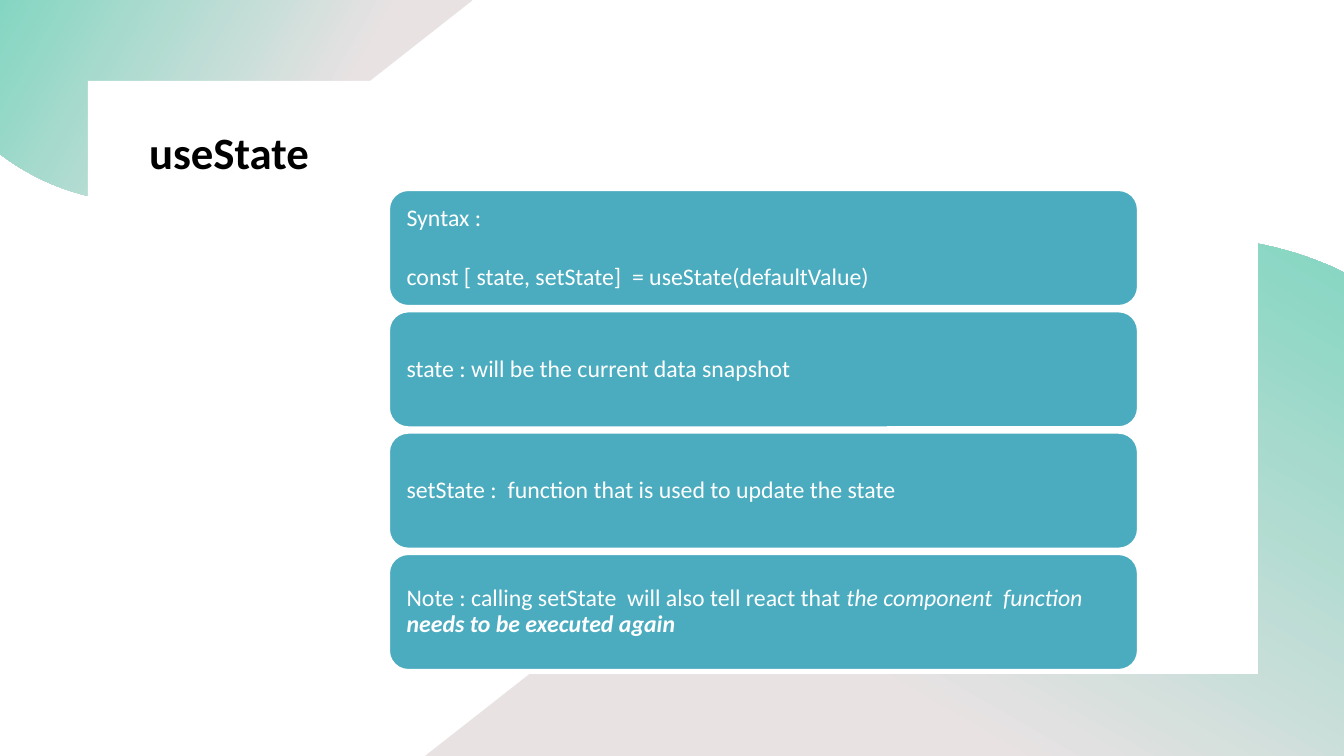
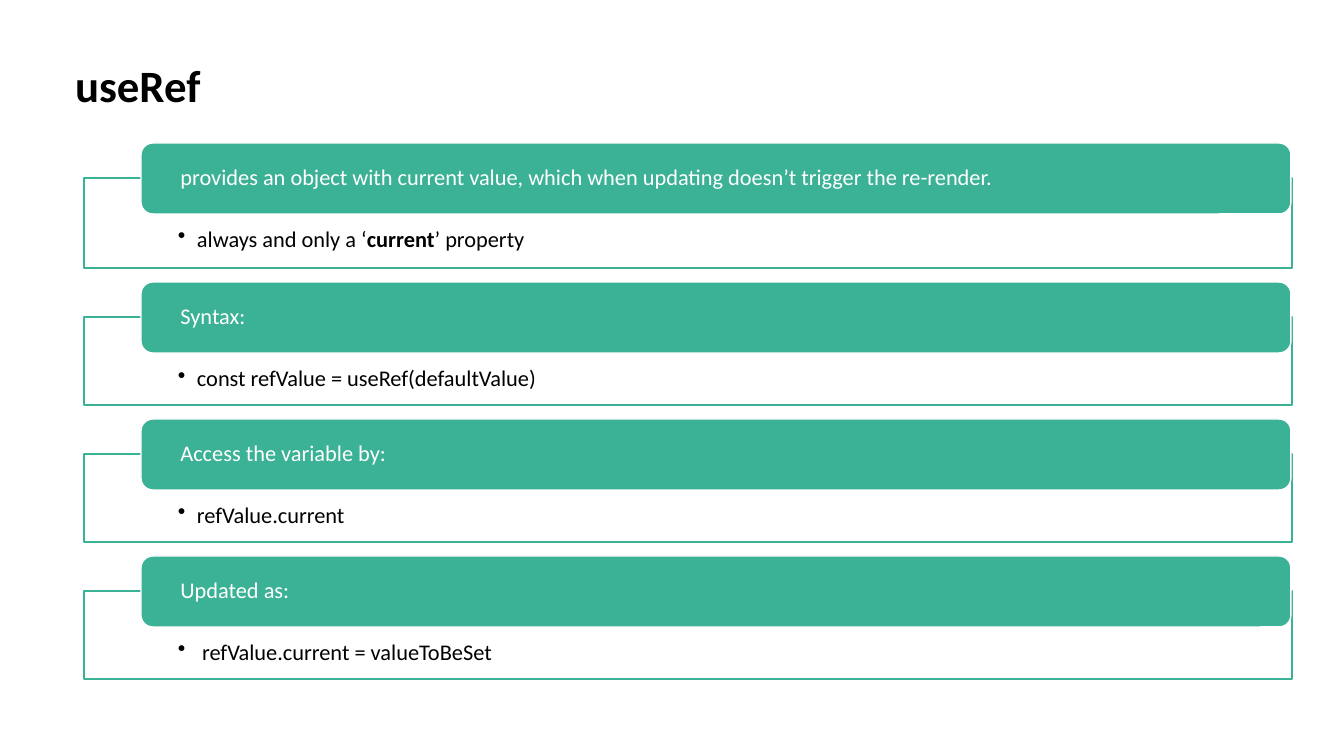
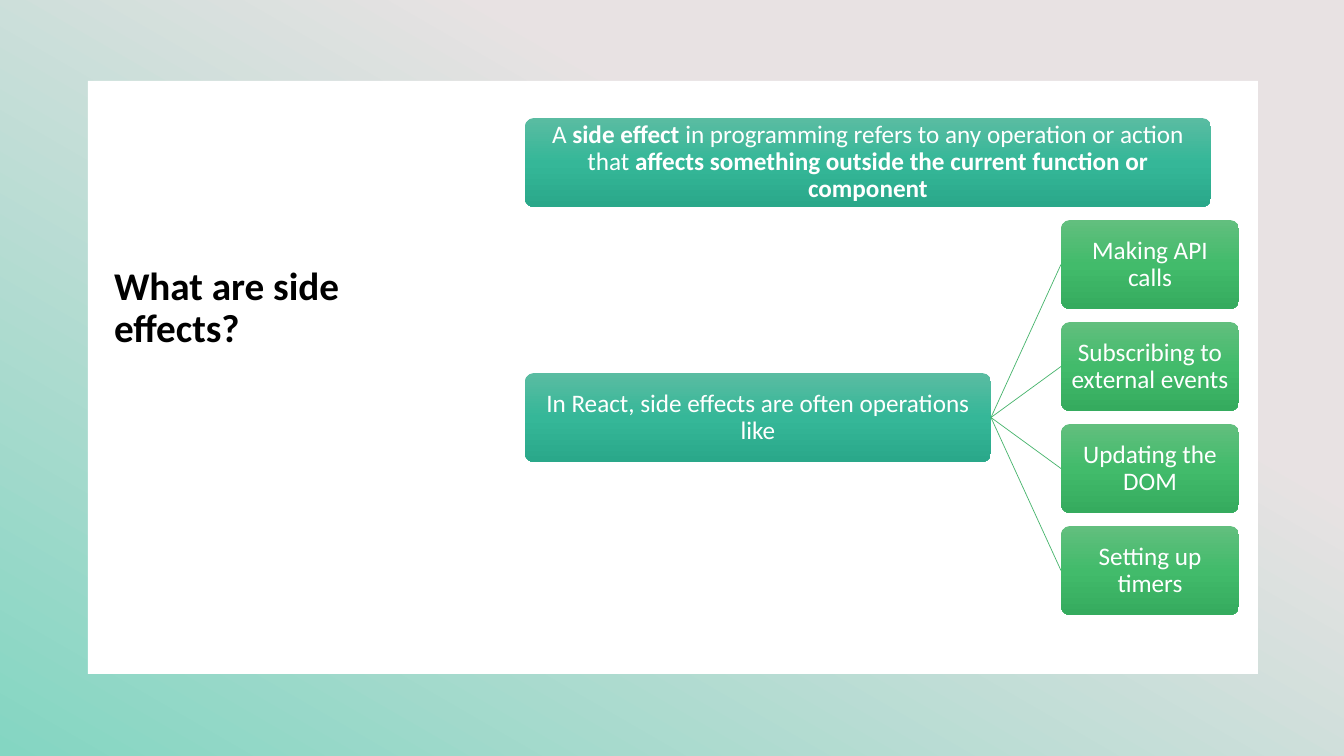
"""Build three slides on React hooks: useState, useRef and side effects."""
import pptx
import pptx.dml.color
import pptx.enum.shapes
import pptx.enum.text
import pptx.oxml
import pptx.oxml.ns
import pptx.util

RGB = pptx.dml.color.RGBColor
SHAPE = pptx.enum.shapes.MSO_SHAPE
ANCHOR = pptx.enum.text.MSO_ANCHOR
ALIGN = pptx.enum.text.PP_ALIGN

WHITE = RGB(0xFF, 0xFF, 0xFF)
BLACK = RGB(0x00, 0x00, 0x00)
BLUE = RGB(0x4B, 0xAC, 0xC0)
TEAL = RGB(0x3B, 0xB1, 0x95)
LINK_GREEN = RGB(0x47, 0xB5, 0x6D)
BACKDROP_STOPS = [(32, RGB(0xE8, 0xE2, 0xE3)), (100, RGB(0x84, 0xD6, 0xC2))]
TEAL_STOPS = [(0, RGB(0x5A, 0xBC, 0xA2)), (50, RGB(0x35, 0xB7, 0x98)), (100, RGB(0x2A, 0xA8, 0x8A))]
GREEN_STOPS = [(0, RGB(0x62, 0xBF, 0x7E)), (50, RGB(0x42, 0xBB, 0x6B)), (100, RGB(0x35, 0xAB, 0x5E))]

FONT = "Calibri"
EMU_PER_PX = 914400 / 100.8
SLIDE_W, SLIDE_H = 1344, 756
PANEL = (88, 81, 1170, 593)

TOP_LEFT_WAVE = [
    (0, 0), (473, 0), (273, 157), (268, 160),
    [(232, 186), (190, 200), (148, 202)], (135, 202),
    [(87, 201), (39, 184), (0, 154)],
]
BOTTOM_RIGHT_WAVE = [
    (1203, 238), [(1250, 239), (1296, 250), (1339, 270)],
    (1344, 273), (1344, 756), (425, 756), (1005, 301), (1011, 296),
    [(1064, 260), (1125, 241), (1183, 238)],
]
FULL_SLIDE = [(0, 0), (SLIDE_W, 0), (SLIDE_W, SLIDE_H), (0, SLIDE_H)]

STATE_CARDS = [
    [[("Syntax :", "")], [("const [ state, setState]  = useState(defaultValue)", "")]],
    [[("state : will be the current data snapshot", "")]],
    [[("setState :  function that is used to update the state", "")]],
    [[("Note : calling setState  will also tell react that ", ""),
      ("the component  function ", "i"), ("needs to be executed again", "bi")]],
]
REF_SECTIONS = [
    ("provides an object with current value, which when updating doesn’t trigger the re-render.",
     [("always and only a ‘", ""), ("current", "b"), ("’ property", "")], 90),
    ("Syntax:", [("const refValue = useRef(defaultValue)", "")], 88),
    ("Access the variable by:", [("refValue.current", "")], 88),
    ("Updated as:", [(" refValue.current = valueToBeSet", "")], 88),
]
DEFINITION = [("A ", ""), ("side effect", "b"),
              (" in programming refers to any operation or action that ", ""),
              ("affects something outside the current function or component", "b")]
OPERATIONS = [("In React, side effects are often operations like", "")]
EFFECTS = ["Making API calls", "Subscribing to external events", "Updating the DOM", "Setting up timers"]


def px(length):
    return pptx.util.Emu(round(length * EMU_PER_PX))


def set_gradient(shape, stops, angle):
    shape.fill.background()
    stop_xml = "".join(
        f'<a:gs pos="{position * 1000}"><a:srgbClr val="{color}"/></a:gs>' for position, color in stops)
    gradient = pptx.oxml.parse_xml(
        f'<a:gradFill {pptx.oxml.ns.nsdecls("a")} rotWithShape="1"><a:gsLst>{stop_xml}</a:gsLst>'
        f'<a:lin ang="{angle * 60000}" scaled="0"/></a:gradFill>')
    properties = shape.element.spPr
    properties.replace(properties.find(pptx.oxml.ns.qn("a:noFill")), gradient)


def write(shape, paragraphs, size, color, anchor=ANCHOR.MIDDLE, align=ALIGN.LEFT,
          insets=(10, 5, 10, 5), gap=0, bullet_indent=0):
    frame = shape.text_frame
    frame.word_wrap = True
    frame.auto_size = pptx.enum.text.MSO_AUTO_SIZE.NONE
    frame.vertical_anchor = anchor
    frame.margin_left, frame.margin_top, frame.margin_right, frame.margin_bottom = map(px, insets)
    for index, runs in enumerate(paragraphs):
        paragraph = frame.add_paragraph() if index else frame.paragraphs[0]
        paragraph.alignment = align
        paragraph.line_spacing = 0.9
        if index:
            paragraph.space_before = pptx.util.Pt(gap)
        if bullet_indent:
            properties = paragraph._p.get_or_add_pPr()
            properties.set("marL", str(px(bullet_indent)))
            properties.set("indent", str(-px(bullet_indent)))
            properties.append(pptx.oxml.parse_xml(
                f'<a:buChar {pptx.oxml.ns.nsdecls("a")} char="•"/>'))
        for text, style in runs:
            run = paragraph.add_run()
            run.text = text
            run.font.name = FONT
            run.font.size = pptx.util.Pt(size)
            run.font.color.rgb = color
            run.font.bold = "b" in style
            run.font.italic = "i" in style


def add_box(slide, kind, box, fill=None, line=None, line_width=1):
    shape = slide.shapes.add_shape(kind, *map(px, box))
    shape.shadow.inherit = False
    if fill is not None:
        shape.fill.solid()
        shape.fill.fore_color.rgb = fill
    if line is None:
        shape.line.fill.background()
    else:
        shape.line.color.rgb = line
        shape.line.width = pptx.util.Pt(line_width)
    return shape


def curve_points(start, control_1, control_2, end, steps=24):
    for step in range(1, steps + 1):
        t = step / steps
        weights = ((1 - t) ** 3, 3 * t * (1 - t) ** 2, 3 * t * t * (1 - t), t ** 3)
        yield tuple(sum(w * point[axis] for w, point in zip(weights, (start, control_1, control_2, end)))
                    for axis in (0, 1))


def add_backdrop(slide, outline, angle):
    points = []
    for part in outline:
        if isinstance(part, list):
            points.extend(curve_points(points[-1], *part))
        else:
            points.append(part)
    corners = [(px(x), px(y)) for x, y in points]
    builder = slide.shapes.build_freeform(*corners[0])
    builder.add_line_segments(corners[1:], close=True)
    backdrop = builder.convert_to_shape()
    backdrop.shadow.inherit = False
    backdrop.line.fill.background()
    set_gradient(backdrop, BACKDROP_STOPS, angle)


def add_slide(deck, title_text, title_box, size, anchor, backdrops=()):
    slide = deck.slides.add_slide(deck.slide_layouts[5])
    for outline, angle in backdrops:
        add_backdrop(slide, outline, angle)
    if backdrops:
        add_box(slide, SHAPE.RECTANGLE, PANEL, WHITE)
    title = slide.shapes.title
    title.left, title.top, title.width, title.height = map(px, title_box)
    write(title, [[(title_text, "b")]], size, BLACK, anchor)
    title.element.getparent().append(title.element)
    return slide


def build_use_state(deck):
    slide = add_slide(deck, "useState", (139, 126, 432, 369), 32, ANCHOR.TOP,
                      [(TOP_LEFT_WAVE, 210), (BOTTOM_RIGHT_WAVE, 300)])
    top, bottom, height = 190, 670, 116
    pitch = (bottom - top - height) / (len(STATE_CARDS) - 1)
    for index, paragraphs in enumerate(STATE_CARDS):
        card = add_box(slide, SHAPE.ROUNDED_RECTANGLE, (389, top + index * pitch, 749, height),
                       BLUE, WHITE, 1.5)
        write(card, paragraphs, 17, WHITE, insets=(12, 12, 12, 12), gap=24)


def build_use_ref(deck):
    slide = add_slide(deck, "useRef", (65, 12, 980, 105), 32, ANCHOR.BOTTOM)
    top = 143
    for heading, detail, height in REF_SECTIONS:
        frame = add_box(slide, SHAPE.RECTANGLE, (84, top + 35, 1208, height), WHITE, TEAL)
        write(frame, [detail], 16, BLACK, ANCHOR.TOP, insets=(94, 50, 94, 12), bullet_indent=19)
        pill = add_box(slide, SHAPE.ROUNDED_RECTANGLE, (141, top, 1150, 71), TEAL, WHITE)
        write(pill, [[(heading, "")]], 16, WHITE, insets=(36, 3, 36, 3))
        top += 35 + height + 14


def add_node(slide, box, runs, stops):
    node = add_box(slide, SHAPE.ROUNDED_RECTANGLE, box)
    node.adjustments[0] = 0.1
    set_gradient(node, stops, 90)
    write(node, [runs], 18, WHITE, align=ALIGN.CENTER, insets=(4, 4, 4, 4))
    return node


def build_side_effects(deck):
    slide = add_slide(deck, "What are side effects?", (104, 158, 333, 301), 28, ANCHOR.MIDDLE,
                      [(FULL_SLIDE, 120)])
    height, first_top, pitch = 89, 220, 102
    add_node(slide, (525, 118, 686, height), DEFINITION, TEAL_STOPS)
    middle_top = first_top + pitch * (len(EFFECTS) - 1) / 2
    operations = add_node(slide, (525, middle_top, 466, height), OPERATIONS, TEAL_STOPS)
    for index, text in enumerate(EFFECTS):
        effect = add_node(slide, (1061, first_top + index * pitch, 178, height), [(text, "")], GREEN_STOPS)
        link = slide.shapes.add_connector(pptx.enum.shapes.MSO_CONNECTOR.STRAIGHT, 0, 0, 0, 0)
        link.begin_connect(operations, 3)
        link.end_connect(effect, 1)
        link.line.color.rgb = LINK_GREEN
        link.line.width = pptx.util.Pt(0.5)
        link.element.spPr.append(pptx.oxml.parse_xml(
            f'<a:effectLst {pptx.oxml.ns.nsdecls("a")}/>'))


def main():
    deck = pptx.Presentation()
    deck.slide_width, deck.slide_height = px(SLIDE_W), px(SLIDE_H)
    build_use_state(deck)
    build_use_ref(deck)
    build_side_effects(deck)
    deck.save("out.pptx")


if __name__ == "__main__":
    main()
